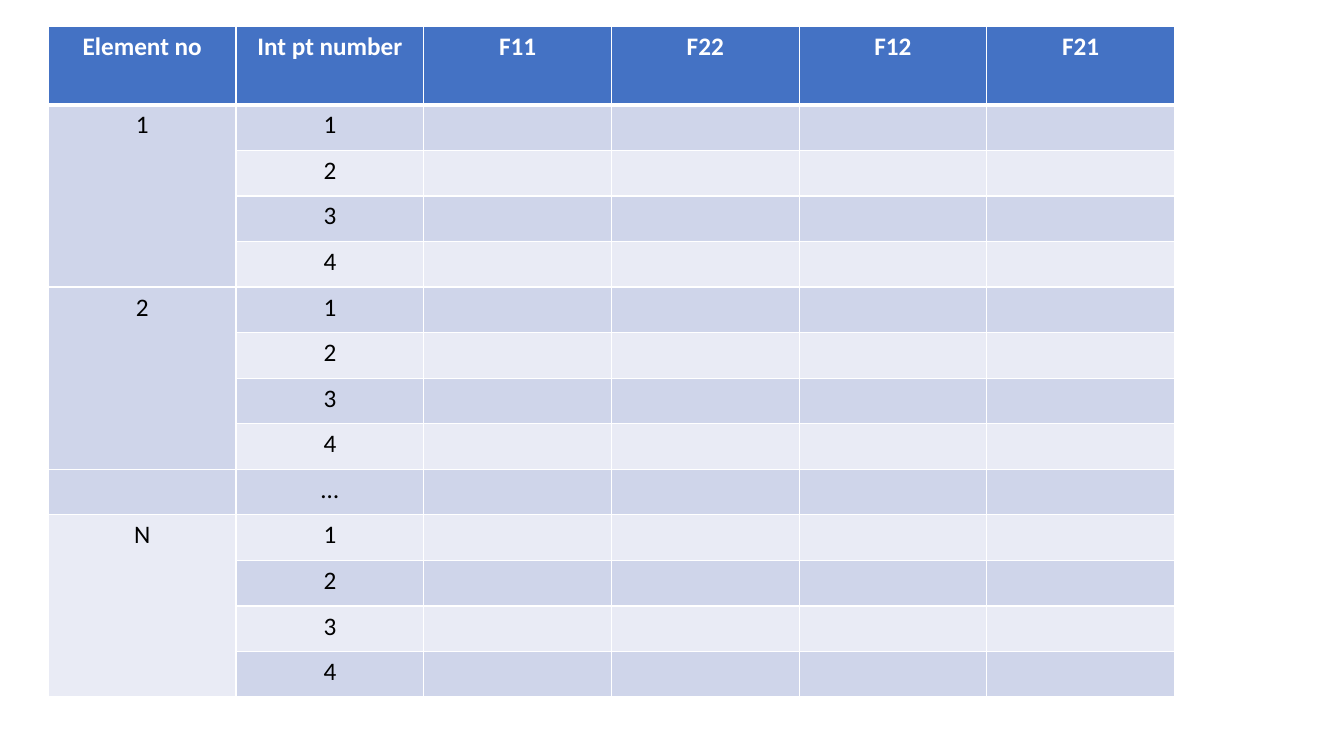
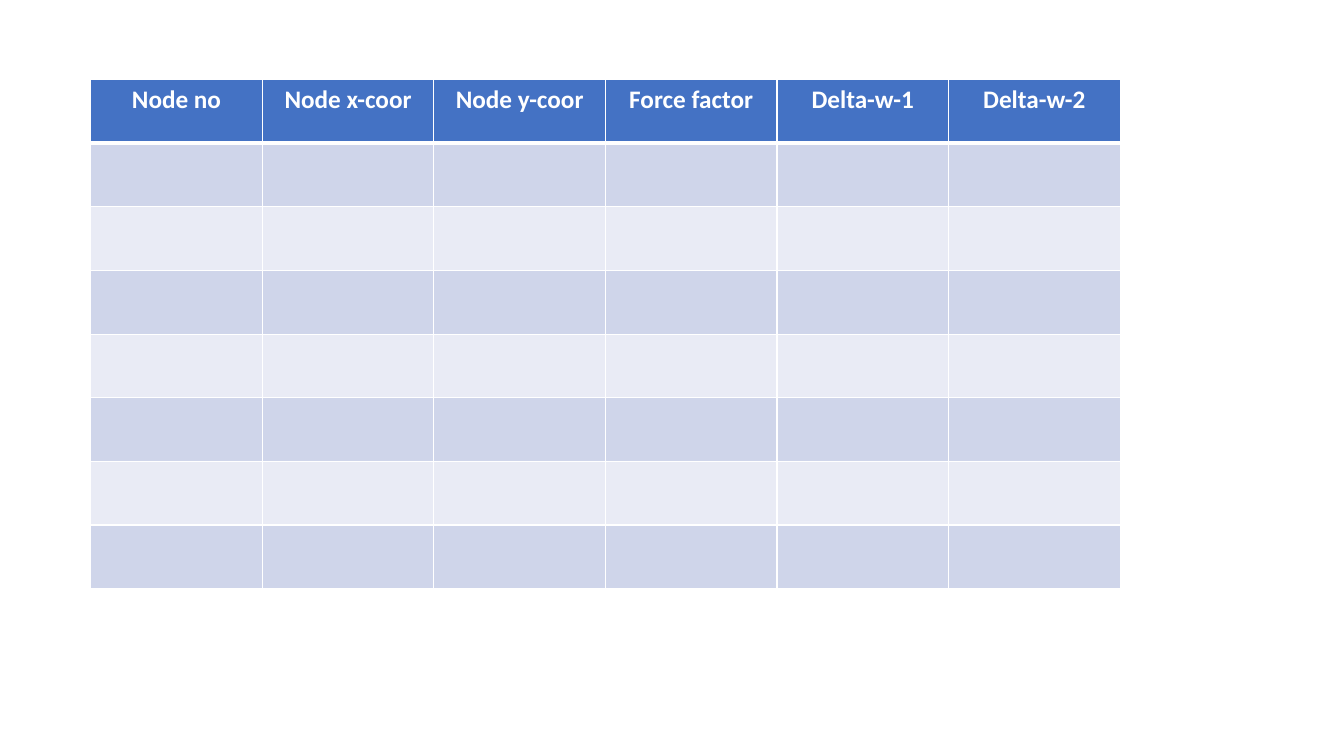
"""Build two slides of blank result tables for elements and nodes."""
from lxml import etree
from pptx import Presentation
from pptx import util as u
from pptx.dml.color import RGBColor
from pptx.enum import text
from pptx.oxml import ns

WHITE = RGBColor(0xFF, 0xFF, 0xFF)
BLACK = RGBColor(0, 0, 0)
BLUE = RGBColor(0x44, 0x72, 0xC4)
DARK = RGBColor(0xCF, 0xD5, 0xEA)
LIGHT = RGBColor(0xE9, 0xEB, 0xF5)
FONT = "Calibri"
SIZE = u.Pt(18)


def write(cell, words, color=BLACK, bold=False):
    """Put centred words in a cell."""
    para = cell.text_frame.paragraphs[0]
    para.alignment = text.PP_ALIGN.CENTER
    run = para.add_run()
    run.text = words
    run.font.name, run.font.size = FONT, SIZE
    run.font.bold, run.font.color.rgb = bold, color


def edge(cell, side, width):
    """Draw one white border of a cell."""
    props = cell._tc.get_or_add_tcPr()
    line = etree.SubElement(props, ns.qn("a:ln" + side), w=str(u.Pt(width)))
    fill = etree.SubElement(line, ns.qn("a:solidFill"))
    etree.SubElement(fill, ns.qn("a:srgbClr"), val=str(WHITE))


points = ["1", "2", "3", "4"]
tables = [
    {"heads": ["Element no", "Int pt number", "F11", "F22", "F12", "F21"],
     "box": (0.48, 0.26, 11.17, 6.66), "top": 0.78,
     "groups": [("1", points), ("2", points), ("", ["…"]), ("N", points)]},
    {"heads": ["Node no", "Node x-coor", "Node y-coor", "Force factor",
               "Delta-w-1", "Delta-w-2"],
     "box": (0.9, 0.79, 10.21, 5.05), "top": 5.05 / 8,
     "groups": [("", [""])] * 7},
]

deck = Presentation()
deck.slide_width, deck.slide_height = u.Inches(13.33), u.Inches(7.5)

for plan in tables:
    slide = deck.slides.add_slide(deck.slide_layouts[6])
    heads, groups = plan["heads"], plan["groups"]
    left, top, width, height = plan["box"]
    count = sum(len(items) for name, items in groups)
    grid = slide.shapes.add_table(
        count + 1, len(heads), *[u.Inches(side) for side in plan["box"]]).table

    for col in grid.columns:
        col.width = u.Inches(width / len(heads))
    for row in grid.rows:
        row.height = u.Inches((height - plan["top"]) / count)
    grid.rows[0].height = u.Inches(plan["top"])

    for r in range(count + 1):
        for c, head in enumerate(heads):
            cell = grid.cell(r, c)
            for side in "LRTB":
                thick = (r, side) in [(0, "B"), (1, "T")]
                edge(cell, side, 3 if thick else 1)
            cell.fill.solid()
            cell.fill.fore_color.rgb = (LIGHT, DARK)[r % 2] if r else BLUE
            if r == 0:
                write(cell, head, color=WHITE, bold=True)

    start = 1
    for name, items in groups:
        first = grid.cell(start, 0)
        if len(items) > 1:
            first.merge(grid.cell(start + len(items) - 1, 0))
        if name:
            write(first, name)
        for r, item in enumerate(items, start):
            if item:
                write(grid.cell(r, 1), item)
        start += len(items)

deck.save("out.pptx")
